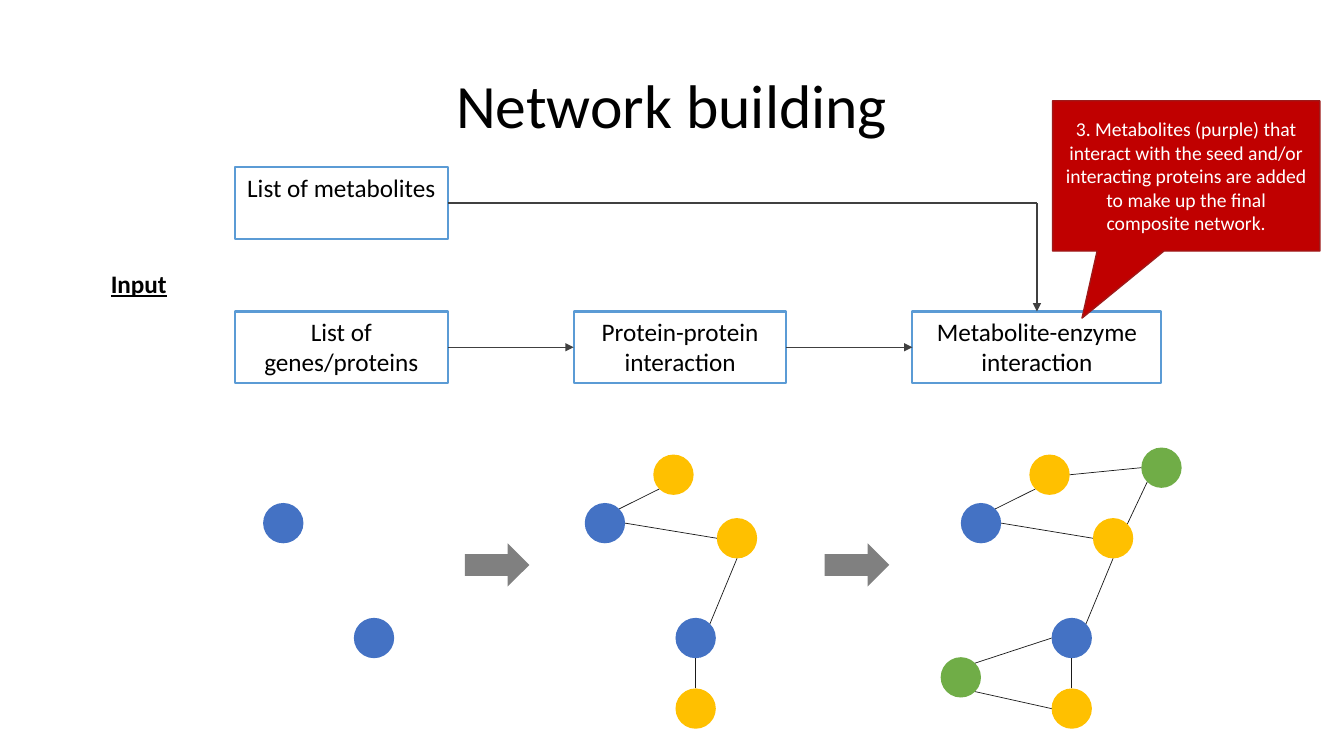
from dataclasses import dataclass
from math import cos, radians, sin

from lxml.etree import SubElement
from pptx import Presentation
from pptx.dml.color import RGBColor
from pptx.enum.shapes import MSO_CONNECTOR, MSO_SHAPE
from pptx.enum.text import MSO_ANCHOR, MSO_AUTO_SIZE, PP_ALIGN
from pptx.oxml.ns import qn
from pptx.util import Inches, Pt


@dataclass(frozen=True)
class Theme:
    font: str = "Calibri"
    title_size: int = 44
    body_size: int = 18
    callout_size: int = 14
    text: str = "000000"
    light_text: str = "FFFFFF"
    box_line: str = "5B9BD5"
    flow: str = "404040"
    edge: str = "1A1A1A"
    block_arrow: str = "808080"
    seed: str = "4472C4"
    protein: str = "FFC000"
    metabolite: str = "70AD47"
    callout: str = "C00000"
    callout_line: str = "9E1A1A"


THEME = Theme()
NODE_SIZE = 0.4

# Node offsets from a stage's left edge, with the top on the slide
SEEDS = {"seed A": (0, 4.99), "seed B": (0.9, 6.13)}
PROTEINS = {"upper protein": (0.68, 4.51), "right protein": (1.31, 5.14),
            "lower protein": (0.9, 6.83)}
METABOLITES = {"upper metabolite": (1.79, 4.44), "lower metabolite": (-0.2, 6.52)}

# Edges: node, angle on its rim, node, angle on its rim (clockwise from right)
PROTEIN_EDGES = [
    ("seed A", -45, "upper protein", 135),
    ("seed A", 0, "right protein", 180),
    ("seed B", -45, "right protein", 90),
    ("seed B", 90, "lower protein", -90),
]
METABOLITE_EDGES = [
    ("upper protein", 0, "upper metabolite", 180),
    ("upper metabolite", 135, "right protein", -45),
    ("lower metabolite", -45, "seed B", 180),
    ("lower metabolite", 45, "lower protein", 180),
]


def rgb(color):
    return RGBColor.from_string(color)


def write(frame, text, size, color=THEME.text, align=PP_ALIGN.CENTER,
          anchor=MSO_ANCHOR.TOP):
    frame.word_wrap = True
    frame.auto_size = MSO_AUTO_SIZE.NONE
    frame.vertical_anchor = anchor
    paragraph = frame.paragraphs[0]
    paragraph.text = text
    paragraph.alignment = align
    paragraph.font.name = THEME.font
    paragraph.font.size = Pt(size)
    paragraph.font.color.rgb = rgb(color)
    return paragraph


def add_shape(slide, kind, left, top, width, height, fill=None, line=None, weight=1):
    shape = slide.shapes.add_shape(
        kind, Inches(left), Inches(top), Inches(width), Inches(height))
    shape.shadow.inherit = False
    if fill:
        shape.fill.solid()
        shape.fill.fore_color.rgb = rgb(fill)
    else:
        shape.fill.background()
    if line:
        shape.line.color.rgb = rgb(line)
        shape.line.width = Pt(weight)
    else:
        shape.line.fill.background()
    return shape


def add_step(slide, text, left, top, width=2.11):
    step = add_shape(slide, MSO_SHAPE.RECTANGLE, left, top, width, 0.71,
                     line=THEME.box_line, weight=1.5)
    write(step.text_frame, text, THEME.body_size)
    return step


def add_line(slide, start, end, color, weight, arrow=False):
    line = slide.shapes.add_connector(
        MSO_CONNECTOR.STRAIGHT, *(Inches(value) for value in (*start, *end)))
    line.line.color.rgb = rgb(color)
    line.line.width = Pt(weight)
    properties = line.line._get_or_add_ln()
    if arrow:
        SubElement(properties, qn("a:tailEnd"), type="triangle")
    SubElement(properties.getparent(), qn("a:effectLst"))
    return line


def add_flow_arrow(slide, source, target):
    arrow = add_line(slide, (0, 0), (1, 1), THEME.flow, 1, arrow=True)
    arrow.begin_connect(source, 3)
    arrow.end_connect(target, 1)


def add_elbow(slide, source, target):
    corner = ((target.left + target.width / 2) / Inches(1),
              (source.top + source.height / 2) / Inches(1))
    across = add_line(slide, corner, corner, THEME.flow, 1)
    across.begin_connect(source, 3)
    down = add_line(slide, corner, corner, THEME.flow, 1, arrow=True)
    down.end_connect(target, 0)


def rim_point(node, angle):
    radius = NODE_SIZE / 2
    return (node[0] + radius + radius * cos(radians(angle)),
            node[1] + radius + radius * sin(radians(angle)))


def add_network(slide, left, groups, edges=()):
    nodes = {}
    for color, offsets in groups:
        for name, (dx, top) in offsets.items():
            nodes[name] = (left + dx, top)
            add_shape(slide, MSO_SHAPE.OVAL, left + dx, top, NODE_SIZE, NODE_SIZE,
                      fill=color)
    for source, source_angle, target, target_angle in edges:
        add_line(slide, rim_point(nodes[source], source_angle),
                 rim_point(nodes[target], target_angle), THEME.edge, 0.5)


def add_callout(slide, text):
    callout = add_shape(slide, MSO_SHAPE.RECTANGULAR_CALLOUT, 10.44, 1, 2.65, 1.49,
                        fill=THEME.callout, line=THEME.callout_line)
    callout.adjustments[0] = -0.39
    callout.adjustments[1] = 0.947
    write(callout.text_frame, text, THEME.callout_size, THEME.light_text,
          anchor=MSO_ANCHOR.MIDDLE)


def add_title(slide, text):
    title = slide.shapes.title
    title.left, title.top = Inches(1), Inches(0.68)
    title.width, title.height = Inches(11.33), Inches(0.79)
    write(title.text_frame, text, THEME.title_size,
          anchor=MSO_ANCHOR.MIDDLE).line_spacing = 0.9


def add_input_label(slide, text):
    label = slide.shapes.add_textbox(Inches(1), Inches(2.61), Inches(0.82), Inches(0.4))
    font = write(label.text_frame, text, THEME.body_size, align=PP_ALIGN.LEFT).font
    font.bold = True
    font.underline = True


def main():
    deck = Presentation()
    deck.slide_width, deck.slide_height = Inches(13.33), Inches(7.5)
    slide = deck.slides.add_slide(deck.slide_layouts[5])
    add_title(slide, "Network building")
    add_input_label(slide, "Input")

    # Workflow
    first_column, column_pitch, row = 2.33, 3.36, 3.09
    metabolites = add_step(slide, "List of metabolites", first_column, 1.66)
    genes = add_step(slide, "List of genes/proteins", first_column, row)
    proteins = add_step(slide, "Protein-protein interaction",
                        first_column + column_pitch, row)
    enzymes = add_step(slide, "Metabolite-enzyme interaction",
                       first_column + 2 * column_pitch, row, width=2.47)
    add_flow_arrow(slide, genes, proteins)
    add_flow_arrow(slide, proteins, enzymes)
    add_elbow(slide, metabolites, enzymes)

    # Growing network, one stage per workflow column
    groups = [(THEME.seed, SEEDS), (THEME.protein, PROTEINS),
              (THEME.metabolite, METABOLITES)]
    add_network(slide, 2.61, groups[:1])
    add_network(slide, 5.8, groups[:2], PROTEIN_EDGES)
    add_network(slide, 9.53, groups, PROTEIN_EDGES + METABOLITE_EDGES)
    for left in (4.61, 8.18):
        add_shape(slide, MSO_SHAPE.RIGHT_ARROW, left, 5.39, 0.64, 0.43,
                  fill=THEME.block_arrow)

    add_callout(slide, "3. Metabolites (purple) that interact with the seed and/or "
                       "interacting proteins are added to make up the final "
                       "composite network.")
    deck.save("out.pptx")


if __name__ == "__main__":
    main()
